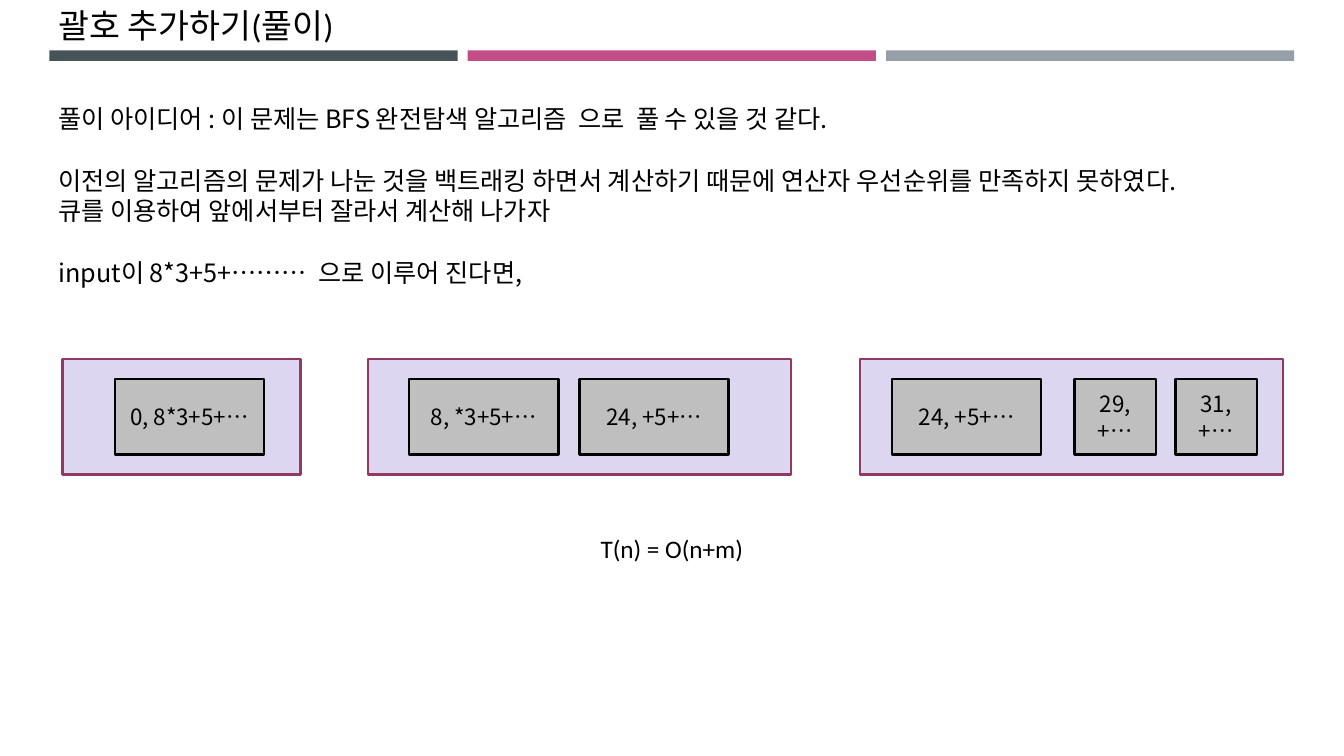
from dataclasses import dataclass

from lxml.etree import SubElement
from pptx import Presentation
from pptx.dml.color import RGBColor
from pptx.enum.shapes import MSO_SHAPE
from pptx.enum.text import MSO_ANCHOR, PP_ALIGN
from pptx.oxml.ns import qn
from pptx.util import Pt

NOTO = "Noto Sans CJK KR"
CALIBRI = "Calibri"


@dataclass
class Entry:
    left: float
    text: str
    width: float = 106.5


@dataclass
class Queue:
    left: float
    width: float
    entries: list[Entry]


BAR_COLORS = ["465359", "C34D86", "969FA7"]
BAR_LEFT, BAR_WIDTH, BAR_PITCH = 35.3, 291.6, 298.8

QUEUE_TOP, QUEUE_HEIGHT = 256.3, 82.8
ENTRY_TOP, ENTRY_HEIGHT = 270.7, 54
QUEUES = [
    Queue(44.6, 170, [Entry(82, "0, 8*3+5+…")]),
    Queue(262.8, 302.4, [Entry(292.3, "8, *3+5+…"), Entry(414, "24, +5+…")]),
    Queue(614.2, 302.4, [Entry(637.2, "24, +5+…"), Entry(767.5, "29, +…", 58.3),
                         Entry(839.5, "31, +…", 58.3)]),
]

IDEA = [
    "풀이 아이디어 : 이 문제는 BFS 완전탐색 알고리즘  으로  풀 수 있을 것 같다.",
    "이전의 알고리즘의 문제가 나눈 것을 백트래킹 하면서 계산하기 때문에 "
    "연산자 우선순위를 만족하지 못하였다.\n큐를 이용하여 앞에서부터 잘라서 계산해 나가자",
    "input이 8*3+5+………  으로 이루어 진다면,",
]


def rgb(value: str) -> RGBColor:
    return RGBColor.from_string(value)


def write(s, paragraphs: list[str], *, size: float, font: str = NOTO,
          align=PP_ALIGN.LEFT, anchor=MSO_ANCHOR.TOP, wrap: bool = True,
          leading: float | None = None, gap: float = 0) -> None:
    tf = s.text_frame
    tf.word_wrap = wrap
    tf.vertical_anchor = anchor
    for i, text in enumerate(paragraphs):
        p = tf.add_paragraph() if i else tf.paragraphs[0]
        p.text = text
        p.alignment = align
        if leading:
            p.line_spacing = Pt(leading)
        if i and gap:
            p.space_before = Pt(gap)
        for r in p.runs:
            r.font.size = Pt(size)
            r.font.color.rgb = rgb("000000")
            r.font.name = font
            SubElement(r.font._element, qn("a:ea")).set("typeface", NOTO)


def add_box(slide, left: float, top: float, width: float, height: float,
            fill: str, line: str | None = None):
    s = slide.shapes.add_shape(MSO_SHAPE.RECTANGLE, Pt(left), Pt(top), Pt(width), Pt(height))
    s.shadow.inherit = False
    s.fill.solid()
    s.fill.fore_color.rgb = rgb(fill)
    if line:
        s.line.color.rgb = rgb(line)
        s.line.width = Pt(1.75)
    else:
        s.line.fill.background()
    return s


def add_text(slide, left: float, top: float, width: float, height: float,
             paragraphs: list[str], **text_format) -> None:
    s = slide.shapes.add_textbox(Pt(left), Pt(top), Pt(width), Pt(height))
    write(s, paragraphs, **text_format)


def add_queue(slide, queue: Queue) -> None:
    add_box(slide, queue.left, QUEUE_TOP, queue.width, QUEUE_HEIGHT, "DDD6F1", "903963")
    for entry in queue.entries:
        s = add_box(slide, entry.left, ENTRY_TOP, entry.width, ENTRY_HEIGHT,
                    "BFBFBF", "000000")
        write(s, [entry.text], size=16, align=PP_ALIGN.CENTER,
              anchor=MSO_ANCHOR.MIDDLE, leading=19.5)


def main() -> None:
    prs = Presentation()
    prs.slide_width, prs.slide_height = Pt(960), Pt(540)
    slide = prs.slides.add_slide(prs.slide_layouts[6])

    for i, color in enumerate(BAR_COLORS):
        add_box(slide, BAR_LEFT + i * BAR_PITCH, 36, BAR_WIDTH, 7.5, color)
    add_text(slide, 34.6, 0, 890.6, 36, ["괄호 추가하기(풀이)"], size=24, font=CALIBRI)
    add_text(slide, 34.6, 69.8, 902.9, 138.2, IDEA, size=18, leading=22, gap=22)
    for queue in QUEUES:
        add_queue(slide, queue)
    add_text(slide, 416.2, 377.3, 127.4, 28.8, ["T(n) = O(n+m)"], size=18, font=CALIBRI,
             align=PP_ALIGN.CENTER, wrap=False)

    prs.save("out.pptx")


if __name__ == "__main__":
    main()
